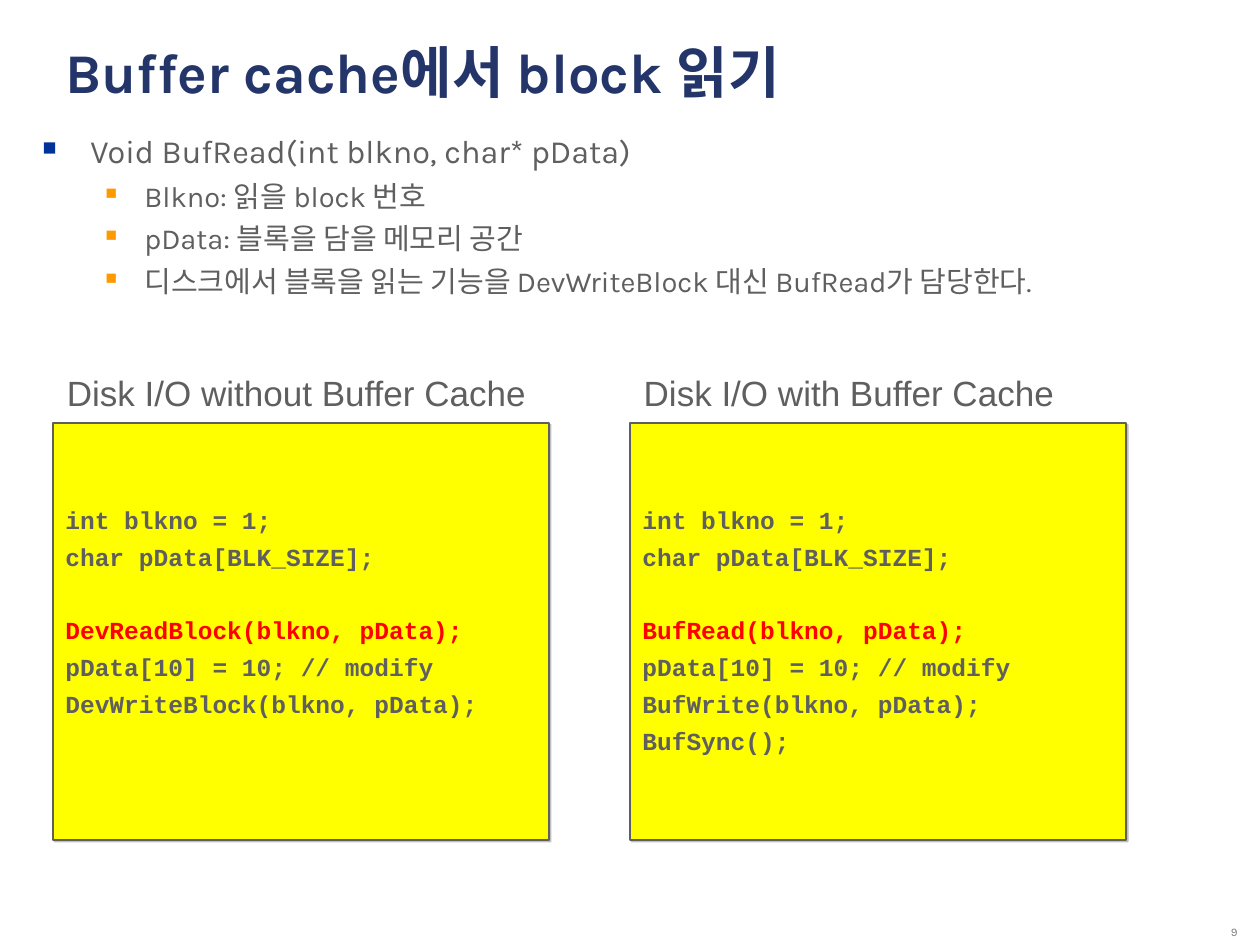
from lxml import etree
from pptx import Presentation, util as u
from pptx.dml.color import RGBColor
from pptx.enum import shapes, text
from pptx.oxml import ns

COLORS = {"title": "24356A", "body": "5F5F5F", "number": "808080", "call": "FF0000",
          "panel": "FFFF00", "bullet": "003399", "sub_bullet": "FF9900", "shadow": "808080"}
LINE_GAP = 4.4
BLANK_LINE_GAP = 24.7
PANEL_TOP = 423
PANEL_SIZE = (496, 417)

DECLARATIONS = [("int blkno = 1;", "body", 0),
                ("char pData[BLK_SIZE];", "body", LINE_GAP)]
MODIFY = ("pData[10] = 10; // modify", "body", LINE_GAP)


def px(length):
    """Turn pixels into EMU."""
    return u.Emu(round(length * 914400 / 126))


def rgb(name):
    """Look up a named colour."""
    return RGBColor.from_string(COLORS[name])


def add_child(parent, tag, **attributes):
    """Append a DrawingML element to a parent."""
    return etree.SubElement(parent, ns.qn(tag), attributes)


def write(paragraph, content, size=14, font="Karla", color="body", bold=False,
          before=0, align=text.PP_ALIGN.LEFT):
    """Fill a paragraph with formatted text."""
    paragraph.alignment = align
    paragraph.space_before = u.Pt(before)
    run = paragraph.add_run()
    run.text = content
    run.font.size = u.Pt(size)
    run.font.name = font
    run.font.bold = bold
    run.font.color.rgb = rgb(color)


def add_box(slide, left, top, width, height, wrap=True, anchor=text.MSO_ANCHOR.TOP):
    """Add a text box and return its text frame."""
    frame = slide.shapes.add_textbox(px(left), px(top), px(width), px(height)).text_frame
    frame.word_wrap = wrap
    frame.vertical_anchor = anchor
    return frame


def next_paragraph(frame, index):
    """Return the first paragraph, or a new one after it."""
    return frame.add_paragraph() if index else frame.paragraphs[0]


def set_bullet(paragraph, color, percent, left, hanging):
    """Give a paragraph a square bullet and hanging indent."""
    properties = paragraph._p.get_or_add_pPr()
    properties.set("marL", str(px(left)))
    properties.set("indent", str(-px(hanging)))
    add_child(add_child(properties, "a:buClr"), "a:srgbClr", val=COLORS[color])
    add_child(properties, "a:buSzPct", val=str(percent * 1000))
    add_child(properties, "a:buChar", char="■")


def add_bullets(slide, heading, items):
    """Add the function signature and its notes."""
    frame = add_box(slide, 30, 125, 1152, 188)
    paragraph = frame.paragraphs[0]
    set_bullet(paragraph, "bullet", 60, 48, 48)
    write(paragraph, heading, size=18.5)
    for item in items:
        paragraph = frame.add_paragraph()
        paragraph.level = 1
        set_bullet(paragraph, "sub_bullet", 55, 102, 39)
        write(paragraph, item, size=16.6, before=4.5)


def add_shadow(shape):
    """Add a small hard shadow to the lower right."""
    shape.shadow.inherit = False
    effects = shape._element.spPr.find(ns.qn("a:effectLst"))
    shadow = add_child(effects, "a:outerShdw", blurRad="0", dist=str(u.Pt(1.4)),
                       dir="2700000", algn="ctr", rotWithShape="0")
    color = add_child(shadow, "a:srgbClr", val=COLORS["shadow"])
    add_child(color, "a:alpha", val="50000")


def add_code_panel(slide, left, heading, heading_width, lines):
    """Add a headed panel of code lines."""
    panel = slide.shapes.add_shape(shapes.MSO_SHAPE.RECTANGLE, px(left), px(PANEL_TOP),
                                   *map(px, PANEL_SIZE))
    panel.fill.solid()
    panel.fill.fore_color.rgb = rgb("panel")
    panel.line.color.rgb = rgb("body")
    panel.line.width = u.Pt(1)
    add_shadow(panel)
    frame = panel.text_frame
    frame.word_wrap = False
    frame.vertical_anchor = text.MSO_ANCHOR.TOP
    frame.margin_top = px(82)
    for index, (content, color, before) in enumerate(lines):
        write(next_paragraph(frame, index), content, font="Courier New", color=color,
              bold=True, before=before)
    title = add_box(slide, left + 1, 365, heading_width, 55, wrap=False)
    write(title.paragraphs[0], heading, size=20, font="Arial", align=text.PP_ALIGN.CENTER)


def main():
    """Build and save the slide."""
    presentation = Presentation()
    presentation.slide_width, presentation.slide_height = px(1260), px(945)
    slide = presentation.slides.add_slide(presentation.slide_layouts[6])

    number = add_box(slide, 1124, 913, 126, 32, anchor=text.MSO_ANCHOR.BOTTOM)
    write(number.paragraphs[0], "9", size=6.6, color="number", align=text.PP_ALIGN.RIGHT)
    title = add_box(slide, 53, 31, 1138, 154)
    write(title.paragraphs[0], "Buffer cache에서 block 읽기", size=32, color="title", bold=True)
    add_bullets(slide, "Void BufRead(int blkno, char* pData)",
                ["Blkno: 읽을 block 번호",
                 "pData: 블록을 담을 메모리 공간",
                 "디스크에서 블록을 읽는 기능을 DevWriteBlock 대신 BufRead가 담당한다."])
    add_code_panel(slide, 630, "Disk I/O with Buffer Cache", 436,
                   [*DECLARATIONS, ("BufRead(blkno, pData);", "call", BLANK_LINE_GAP), MODIFY,
                    ("BufWrite(blkno, pData);", "body", LINE_GAP),
                    ("BufSync();", "body", LINE_GAP)])
    add_code_panel(slide, 53, "Disk I/O without Buffer Cache", 485,
                   [*DECLARATIONS, ("DevReadBlock(blkno, pData);", "call", BLANK_LINE_GAP), MODIFY,
                    ("DevWriteBlock(blkno, pData);", "body", LINE_GAP)])
    presentation.save("out.pptx")


if __name__ == "__main__":
    main()
